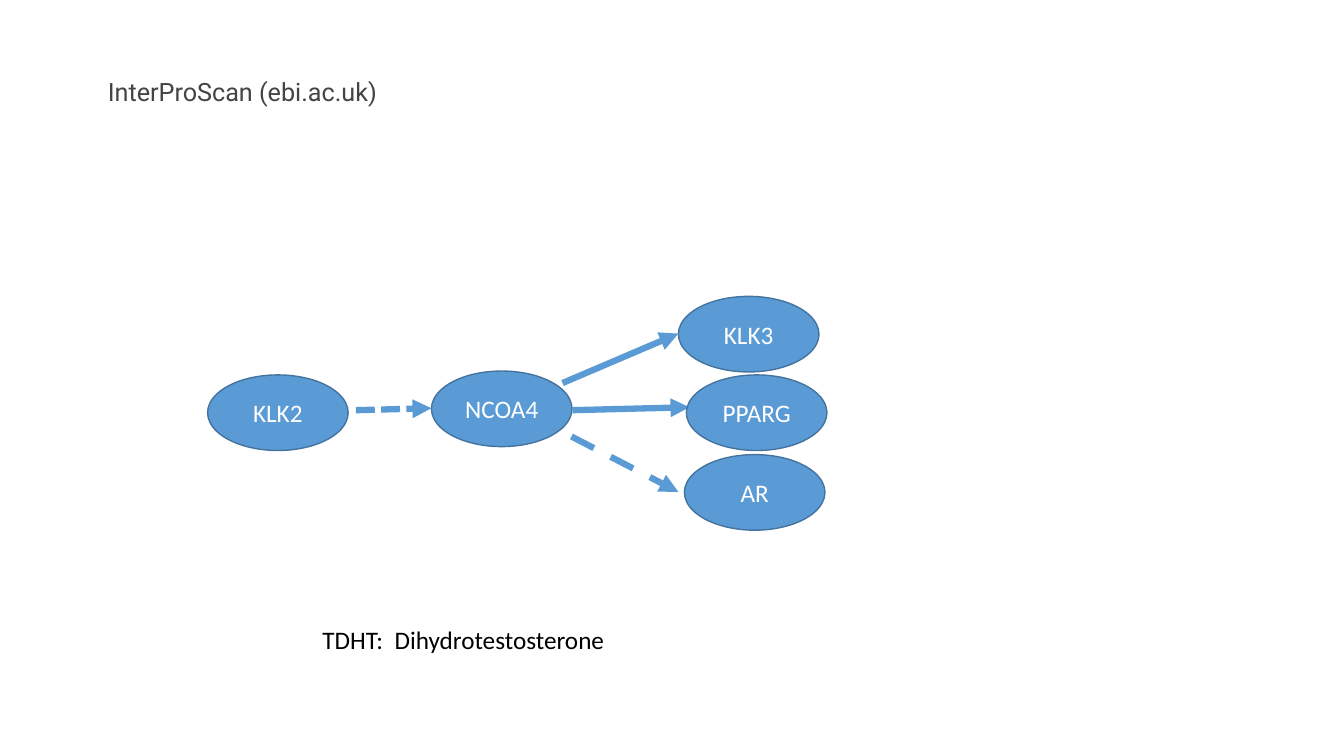
from pptx import Presentation
from pptx.dml.color import RGBColor
from pptx.enum.dml import MSO_LINE as Dash
from pptx.enum.shapes import MSO_CONNECTOR as Link, MSO_SHAPE as Shape
from pptx.enum.text import MSO_ANCHOR as Anchor, MSO_AUTO_SIZE as Fit, PP_ALIGN as Align
from pptx.oxml.ns import qn
from pptx.util import Pt
from lxml.etree import SubElement

BLUE = "5B9BD5"
NODES = [
    ("NCOA4", 308.2, 265),
    ("KLK2", 148.3, 267.8),
    ("AR", 488.9, 324.7),
    ("KLK3", 484.6, 211.7),
    ("PPARG", 490.3, 267.8),
]
ARROWS = [
    ((254.2, 293), (308.2, 291.6), Dash.SQUARE_DOT),
    ((401.8, 273.6), (484.6, 238.3), None),
    ((408.2, 311.8), (484.6, 351.4), Dash.DASH),
    ((409, 293), (492.5, 290.9), None),
]


def paint(fmt, color):
    """Set a solid colour on a fill."""
    fmt.solid()
    fmt.fore_color.rgb = RGBColor.from_string(color)


def write(shape, text, color, font="Calibri", align=Align.LEFT):
    frame = shape.text_frame
    frame.text = text
    para = frame.paragraphs[0]
    para.alignment = align
    style = para.runs[0].font
    style.name, style.size = font, Pt(18)
    style.color.rgb = RGBColor.from_string(color)
    return frame


def label(shape, text, color, font="Calibri"):
    """Fill a box with one unwrapped line of text."""
    frame = write(shape, text, color, font)
    frame.word_wrap = False
    frame.auto_size = Fit.SHAPE_TO_FIT_TEXT
    frame.vertical_anchor = Anchor.TOP


def head(slide, text):
    title = slide.shapes.title
    title.left, title.top = Pt(69.8), Pt(51.1)
    title.width, title.height = Pt(210.2), Pt(29)
    label(title, text, "444444", "Roboto")
    title.text_frame.paragraphs[0].line_spacing = 1.0


def node(slide, text, x, y):
    oval = slide.shapes.add_shape(Shape.OVAL, Pt(x), Pt(y), Pt(100.4), Pt(54))
    oval.shadow.inherit = False
    paint(oval.fill, BLUE)
    paint(oval.line.fill, "43739E")
    oval.line.width = Pt(1)
    frame = write(oval, text, "FFFFFF", align=Align.CENTER)
    frame.vertical_anchor = Anchor.MIDDLE


def arrow(slide, start, end, dash):
    ends = [Pt(v) for v in start + end]
    link = slide.shapes.add_connector(Link.STRAIGHT, *ends)
    paint(link.line.fill, BLUE)
    link.line.width = Pt(4.5)
    if dash:
        link.line.dash_style = dash
    props = link._element.spPr
    SubElement(props.find(qn("a:ln")), qn("a:tailEnd"), type="triangle")
    SubElement(props, qn("a:effectLst"))


def main():
    deck = Presentation()
    deck.slide_width, deck.slide_height = Pt(960), Pt(540)
    slide = deck.slides.add_slide(deck.slide_layouts[5])
    head(slide, "InterProScan (ebi.ac.uk)")
    for item in ARROWS:
        arrow(slide, *item)
    for item in NODES:
        node(slide, *item)
    note = slide.shapes.add_textbox(Pt(223.2), Pt(442.1), Pt(222.5), Pt(29))
    label(note, "TDHT:  Dihydrotestosterone", "000000")
    deck.save("out.pptx")


if __name__ == "__main__":
    main()
